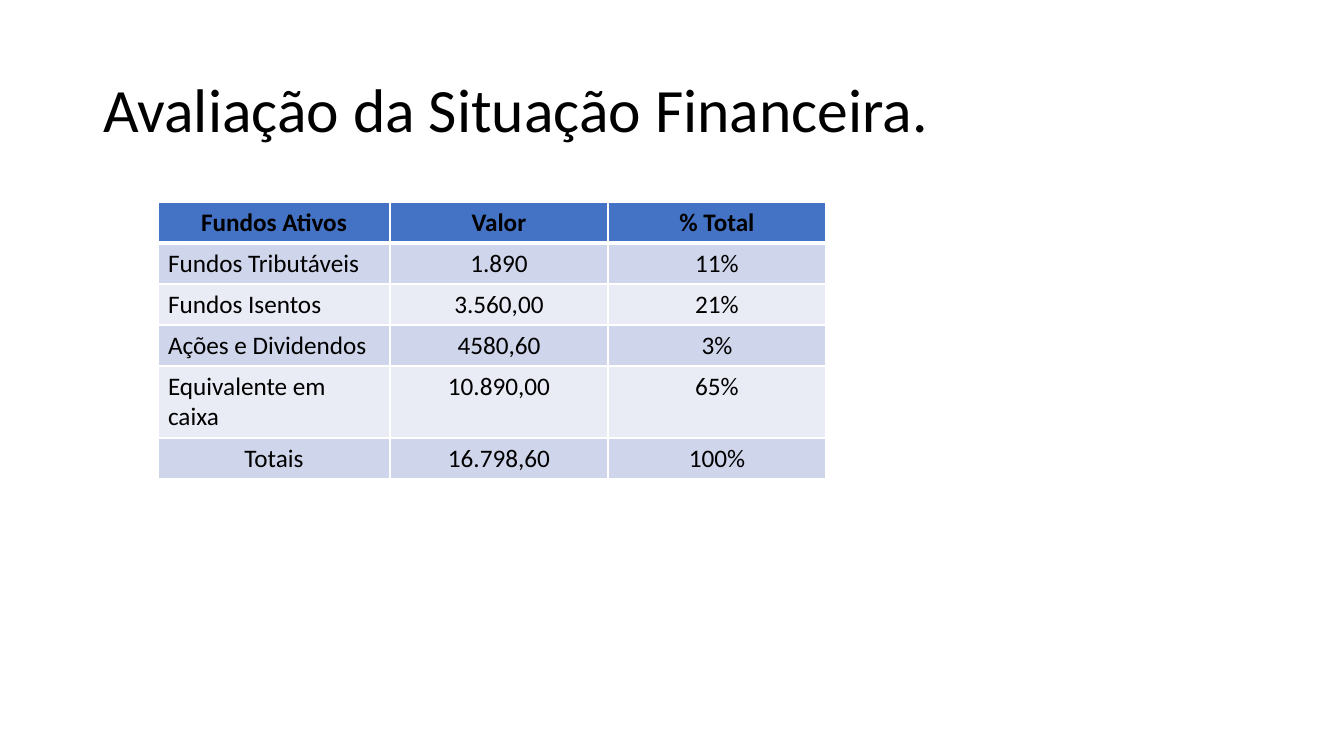
from lxml import etree
from pptx import Presentation
from pptx import util as u
from pptx.dml.color import RGBColor
from pptx.enum import text
from pptx.oxml import ns

PX = 914400 / 100.8
FONT = "Calibri"
BORDER = "FFFFFF"
HEADER_FILL = "4472C4"
BAND_FILLS = ["E9EBF5", "CFD5EA"]


def style(r, size, bold=False):
    r.font.name = FONT
    r.font.size = u.Pt(size)
    r.font.bold = bold
    r.font.color.rgb = RGBColor.from_string("000000")


def add_border(cell, side, points):
    """Add one cell edge; call before filling, in the order L, R, T, B."""
    tag = ns.qn(f"a:ln{side}")
    ln = etree.SubElement(cell._tc.get_or_add_tcPr(), tag, w=str(u.Pt(points)))
    fill = etree.SubElement(ln, ns.qn("a:solidFill"))
    etree.SubElement(fill, ns.qn("a:srgbClr"), val=BORDER)


prs = Presentation()
prs.slide_width, prs.slide_height = round(1344 * PX), round(756 * PX)
s = prs.slides.add_slide(prs.slide_layouts[5])

# Title
title = s.shapes.title
title.left, title.top, title.width, title.height = [
    round(v * PX) for v in (93, 40, 1159, 146)]
tf = title.text_frame
tf.word_wrap = True
tf.auto_size = text.MSO_AUTO_SIZE.NONE
tf.vertical_anchor = text.MSO_ANCHOR.MIDDLE
p = tf.paragraphs[0]
p.alignment = text.PP_ALIGN.LEFT
p.line_spacing = 0.9
r = p.add_run()
r.text = "Avaliação da Situação Financeira."
style(r, 44)

# Table of funds
funds = [
    ["Fundos Ativos", "Valor", "% Total"],
    ["Fundos Tributáveis", "1.890", "11%"],
    ["Fundos Isentos", "3.560,00", "21%"],
    ["Ações e Dividendos", "4580,60", "3%"],
    ["Equivalente em caixa", "10.890,00", "65%"],
    ["Totais", "16.798,60", "100%"],
]
col_widths = [232, 218, 218]
row_heights = [41, 41, 41, 41, 72, 41]
last = len(funds) - 1

frame = s.shapes.add_table(
    len(funds), len(col_widths), round(158 * PX), round(202 * PX),
    round(sum(col_widths) * PX), round(sum(row_heights) * PX))
table = frame.table
for column, width in zip(table.columns, col_widths):
    column.width = round(width * PX)
for row, height in zip(table.rows, row_heights):
    row.height = round(height * PX)

for i, values in enumerate(funds):
    for j, value in enumerate(values):
        cell = table.cell(i, j)
        add_border(cell, "L", 1)
        add_border(cell, "R", 1)
        add_border(cell, "T", 3 if i == 1 else 1)
        add_border(cell, "B", 3 if i == 0 else 1)
        cell.fill.solid()
        fill = HEADER_FILL if i == 0 else BAND_FILLS[i % 2]
        cell.fill.fore_color.rgb = RGBColor.from_string(fill)
        p = cell.text_frame.paragraphs[0]
        is_label = j == 0 and 0 < i < last
        p.alignment = text.PP_ALIGN.LEFT if is_label else text.PP_ALIGN.CENTER
        r = p.add_run()
        r.text = value
        style(r, 18, bold=i == 0)

prs.save("out.pptx")
